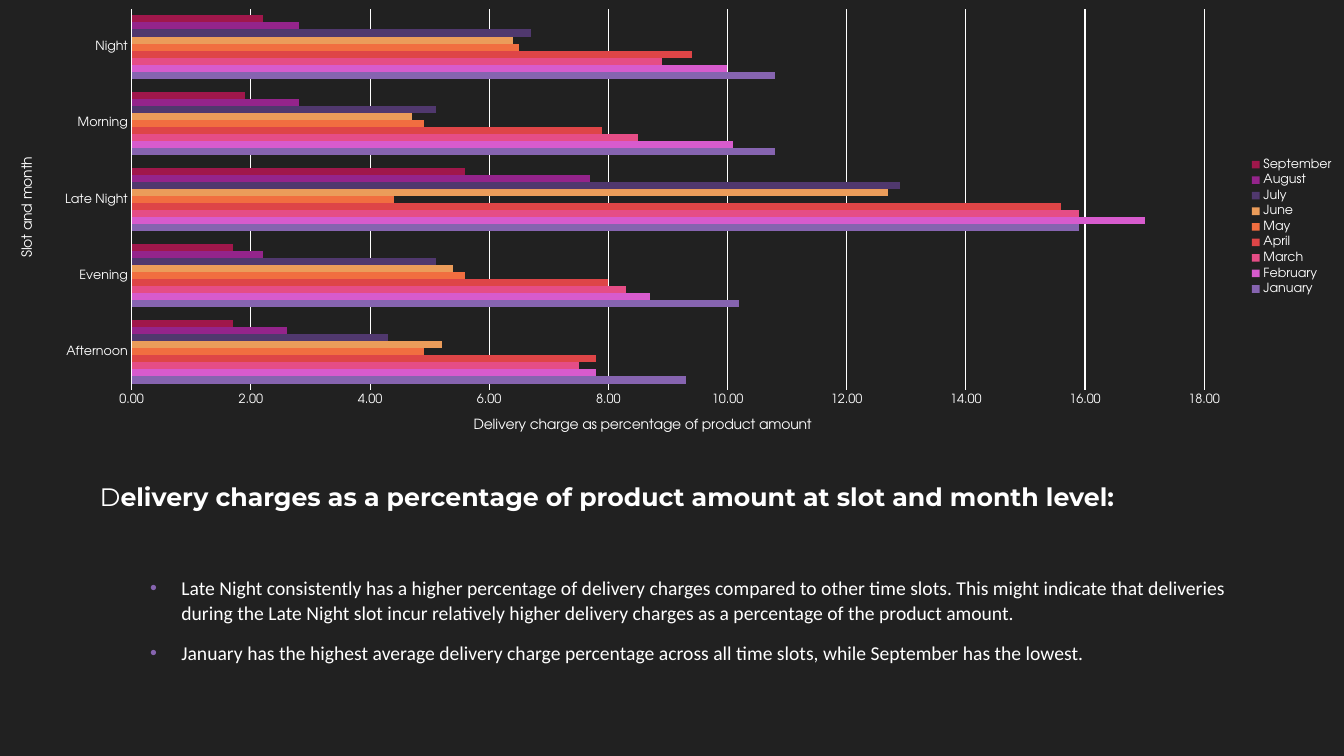
import pptx
import pptx.chart.data
import pptx.dml.color
import pptx.enum.chart
import pptx.enum.text
import pptx.oxml
import pptx.oxml.ns
import pptx.util

Inches, Pt = pptx.util.Inches, pptx.util.Pt
RGB = pptx.dml.color.RGBColor.from_string
qn = pptx.oxml.ns.qn
NS = pptx.oxml.ns.nsdecls

COLORS = {
    "back": "212121", "text": "FFFFFF", "bullet": "8664B0",
    "January": "8664B0", "February": "D75BCD", "March": "E54D86",
    "April": "DE4547", "May": "F16E40", "June": "EB9C5A",
    "July": "50386E", "August": "94248B", "September": "A0174B",
}
SLOTS = ["Afternoon", "Evening", "Late Night", "Morning", "Night"]
CHARGES = {
    "January": [9.3, 10.2, 15.9, 10.8, 10.8],
    "February": [7.8, 8.7, 17, 10.1, 10],
    "March": [7.5, 8.3, 15.9, 8.5, 8.9],
    "April": [7.8, 8, 15.6, 7.9, 9.4],
    "May": [4.9, 5.6, 4.4, 4.9, 6.5],
    "June": [5.2, 5.4, 12.7, 4.7, 6.4],
    "July": [4.3, 5.1, 12.9, 5.1, 6.7],
    "August": [2.6, 2.2, 7.7, 2.8, 2.8],
    "September": [1.7, 1.7, 5.6, 1.9, 2.2],
}
POINTS = [
    "Late Night consistently has a higher percentage of delivery charges compared "
    "to other time slots. This might indicate that deliveries during the Late Night "
    "slot incur relatively higher delivery charges as a percentage of the product amount.",
    "January has the highest average delivery charge percentage across all time "
    "slots, while September has the lowest.",
]


def style(font, size, face):
    font.size = Pt(size)
    font.name = face
    font.bold = False
    font.color.rgb = RGB(COLORS["text"])


def add_text(top, height, anchor):
    box = slide.shapes.add_textbox(Inches(0.89), Inches(top), Inches(11.55), Inches(height))
    box.text_frame.word_wrap = True
    box.text_frame.vertical_anchor = anchor
    return box.text_frame


prs = pptx.Presentation()
prs.slide_width, prs.slide_height = Inches(13.33), Inches(7.5)
slide = prs.slides.add_slide(prs.slide_layouts[6])
slide.background.fill.solid()
slide.background.fill.fore_color.rgb = RGB(COLORS["back"])

# Title
anchors = pptx.enum.text.MSO_ANCHOR
title = add_text(4.5, 0.62, anchors.BOTTOM).paragraphs[0]
style(title.font, 18, "Montserrat")
for text, bold in [
    ("D", False),
    ("elivery charges as a percentage of product amount at slot and month level:", True),
]:
    run = title.add_run()
    run.text = text
    style(run.font, 18, "Montserrat")
    run.font.bold = bold

# Findings
body = add_text(5.2, 1.89, anchors.MIDDLE)
for i, text in enumerate(POINTS):
    para = body.add_paragraph() if i else body.paragraphs[0]
    para.text = text
    style(para.font, 14, "Calibri")
    para.line_spacing = 1.07
    para.space_before, para.space_after = Pt(2.8), Pt(8)
    props = para._p.get_or_add_pPr()
    props.set("marL", str(Inches(0.81)))
    props.set("indent", str(-Inches(0.31)))
    bullet = (
        f'<a:buClr {NS("a")}><a:srgbClr val="{COLORS["bullet"]}"/></a:buClr>',
        f'<a:buFont {NS("a")} typeface="Arial"/>',
        f'<a:buChar {NS("a")} char="•"/>',
    )
    spot = props.find(qn("a:defRPr"))
    for xml in bullet:
        spot.addprevious(pptx.oxml.parse_xml(xml))

# Chart
kinds = pptx.enum.chart
data = pptx.chart.data.CategoryChartData(number_format="0.00")
data.categories = SLOTS
for month, values in CHARGES.items():
    data.add_series(month, values)
chart = slide.shapes.add_chart(
    kinds.XL_CHART_TYPE.BAR_CLUSTERED, 0, 0, Inches(13.33), Inches(4.5), data
).chart
FACE = "TeX Gyre Adventor"
style(chart.font, 10, FACE)
chart.has_title = False
plot = chart.plots[0]
plot.gap_width, plot.overlap = 182, 0
plot.vary_by_categories = False
for series in plot.series:
    series.format.fill.solid()
    series.format.fill.fore_color.rgb = RGB(COLORS[series.name])

cat, val = chart.category_axis, chart.value_axis
for axis, text in [
    (cat, "Slot and month"),
    (val, "Delivery charge as percentage of product amount"),
]:
    axis.major_tick_mark = axis.minor_tick_mark = kinds.XL_TICK_MARK.NONE
    style(axis.tick_labels.font, 9, FACE)
    frame = axis.axis_title.text_frame
    frame.text = text
    style(frame.paragraphs[0].font, 10, FACE)

val.minimum_scale, val.maximum_scale, val.major_unit = 0, 18, 2
val.tick_labels.number_format = "0.00"
val.tick_labels.number_format_is_linked = False
val.format.line.fill.background()
val.has_major_gridlines = True
for line in (cat.format.line, val.major_gridlines.format.line):
    line.color.rgb = RGB(COLORS["text"])
    line.width = Pt(0.75)

chart.has_legend = True
chart.legend.position = kinds.XL_LEGEND_POSITION.RIGHT
chart.legend.include_in_layout = False
style(chart.legend.font, 9, FACE)

# Fixed inner plot area, as fractions of the chart
area = chart._chartSpace.chart.plotArea
for old in area.findall(qn("c:layout")):
    area.remove(old)
sides = {"x": 0.098, "y": 0.02, "w": 0.798, "h": 0.84}
modes = '<c:layoutTarget val="inner"/><c:xMode val="edge"/><c:yMode val="edge"/>'
sizes = "".join(f'<c:{side} val="{part}"/>' for side, part in sides.items())
area.insert(0, pptx.oxml.parse_xml(
    f'<c:layout {NS("c")}><c:manualLayout>{modes}{sizes}</c:manualLayout></c:layout>'
))

prs.save("out.pptx")
